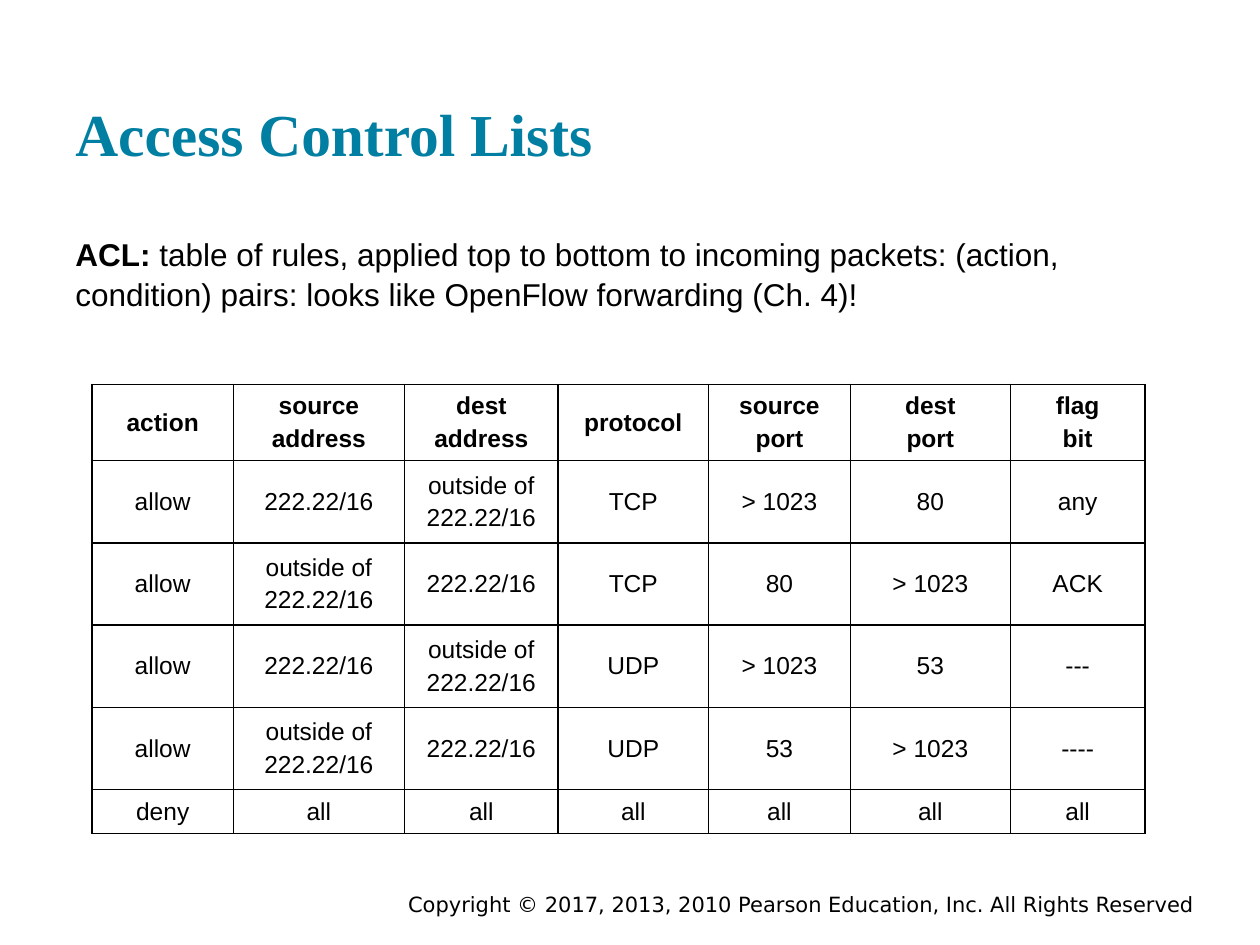
from lxml import etree
from pptx import Presentation
from pptx.dml.color import RGBColor
from pptx.enum.text import MSO_ANCHOR, PP_ALIGN
from pptx.oxml.ns import qn
from pptx.util import Pt

MIDDLE, TOP, BOTTOM = MSO_ANCHOR.MIDDLE, MSO_ANCHOR.TOP, MSO_ANCHOR.BOTTOM
LEFT, CENTER, RIGHT = PP_ALIGN.LEFT, PP_ALIGN.CENTER, PP_ALIGN.RIGHT

COLORS = {"title": "007FA3", "text": "000000"}

# Content
TITLE = "Access Control Lists"
TERM = "ACL:"
DEFINITION = (" table of rules, applied top to bottom to incoming packets: (action, "
              "condition) pairs: looks like OpenFlow forwarding (Ch. 4)!")
COPYRIGHT = "Copyright © 2017, 2013, 2010 Pearson Education, Inc. All Rights Reserved"

INSIDE = "222.22/16"
OUTSIDE = "outside of\n222.22/16"
RULES = [
    ("action", "source\naddress", "dest\naddress", "protocol",
     "source\nport", "dest\nport", "flag\nbit"),
    ("allow", INSIDE, OUTSIDE, "TCP", "> 1023", "80", "any"),
    ("allow", OUTSIDE, INSIDE, "TCP", "80", "> 1023", "ACK"),
    ("allow", INSIDE, OUTSIDE, "UDP", "> 1023", "53", "---"),
    ("allow", OUTSIDE, INSIDE, "UDP", "53", "> 1023", "----"),
    ("deny",) + ("all",) * 6,
]
COL_WIDTHS = [80.6, 97.9, 87.8, 85.9, 81.1, 91.4, 77]
ROW_HEIGHTS = [43.5] + [47] * 4 + [25]
TABLE_LEFT, TABLE_TOP = 52.7, 219.6


def set_font(font, name, size, color="text", bold=False):
    font.name, font.size, font.bold = name, Pt(size), bold
    font.color.rgb = RGBColor.from_string(COLORS[color])


def add_text(slide, box, runs, anchor, align, inset, **font):
    sp = slide.shapes.add_textbox(*(Pt(v) for v in box))
    tf = sp.text_frame
    tf.word_wrap = True
    tf.vertical_anchor = anchor
    tf.margin_left = tf.margin_right = Pt(inset[0])
    tf.margin_top = tf.margin_bottom = Pt(inset[1])
    p = tf.paragraphs[0]
    p.alignment = align
    set_font(p.font, **font)
    for text in runs:
        p.add_run().text = text
    return p


def add_borders(cell):
    tc_pr = cell._tc.get_or_add_tcPr()
    for i, side in enumerate(("lnL", "lnR", "lnT", "lnB")):
        ln = etree.Element(qn(f"a:{side}"), w=str(Pt(1)))
        fill = etree.SubElement(ln, qn("a:solidFill"))
        etree.SubElement(fill, qn("a:srgbClr"), val=COLORS["text"])
        tc_pr.insert(i, ln)


def fill_cell(cell, text, bold):
    cell.fill.background()
    cell.vertical_anchor = MIDDLE
    add_borders(cell)
    cell.text_frame.text = text
    for i, p in enumerate(cell.text_frame.paragraphs):
        p.alignment = CENTER
        if i:
            p.space_before = Pt(2.8)
        set_font(p.font, "Arial", 14, bold=bold)


prs = Presentation()
prs.slide_width, prs.slide_height = Pt(720), Pt(540)
s = prs.slides.add_slide(prs.slide_layouts[6])

# Footer, title and definition
add_text(s, (210.2, 507.6, 479.5, 18), [COPYRIGHT], MIDDLE, RIGHT, (7.2, 3.6),
         name="DejaVu Sans", size=12)
add_text(s, (36, 17.3, 648, 86.4), [TITLE], BOTTOM, LEFT, (7.2, 7.2),
         name="Times New Roman", size=34, color="title", bold=True)
p = add_text(s, (36, 126, 648, 58.3), [TERM, DEFINITION], TOP, LEFT, (7.2, 7.2),
             name="Arial", size=18)
p.line_spacing = 1.05
p.runs[0].font.bold = True

# Rule table
table = s.shapes.add_table(len(RULES), len(COL_WIDTHS), Pt(TABLE_LEFT), Pt(TABLE_TOP),
                           Pt(sum(COL_WIDTHS)), Pt(sum(ROW_HEIGHTS))).table
table.horz_banding = False
for column, width in zip(table.columns, COL_WIDTHS):
    column.width = Pt(width)
for r, (row, height) in enumerate(zip(RULES, ROW_HEIGHTS)):
    table.rows[r].height = Pt(height)
    for c, text in enumerate(row):
        fill_cell(table.cell(r, c), text, bold=r == 0)

prs.save("out.pptx")
